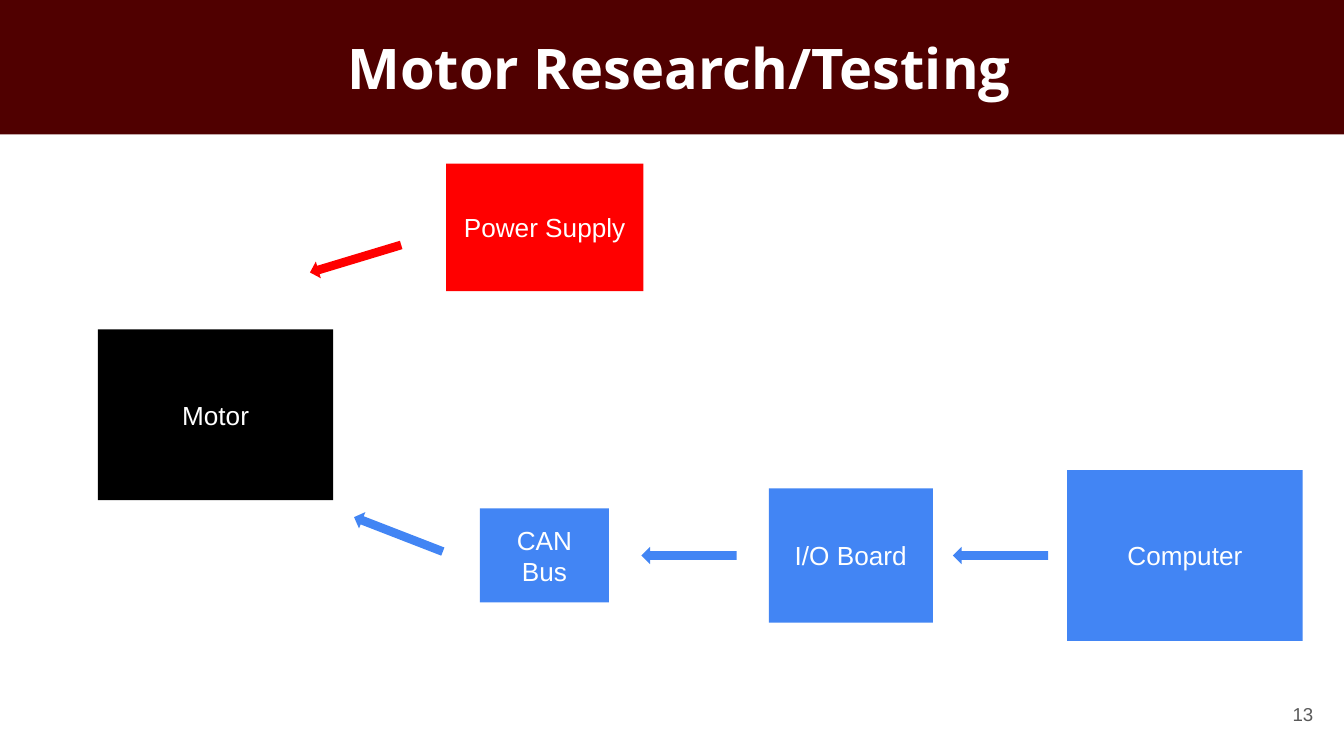
import pptx
import pptx.dml.color
import pptx.enum.shapes
import pptx.enum.text
import pptx.util

Cm = pptx.util.Cm
RGBColor = pptx.dml.color.RGBColor
PP_ALIGN = pptx.enum.text.PP_ALIGN
MSO_SHAPE = pptx.enum.shapes.MSO_SHAPE

MAROON = RGBColor(0x50, 0x00, 0x00)
BLUE = RGBColor(0x42, 0x85, 0xF4)
RED = RGBColor(0xFF, 0x00, 0x00)
BLACK = RGBColor(0x00, 0x00, 0x00)
WHITE = RGBColor(0xFF, 0xFF, 0xFF)
GRAY = RGBColor(0x59, 0x59, 0x59)

SLIDE_WIDTH, SLIDE_HEIGHT = 25.4, 14.29
MARGIN = 0.25
SIGNAL_ROW = 10.5  # centre line of the control chain
ARROW_WIDTH, ARROW_HEIGHT = 1.8, 0.33


def write_text(shape, text, size, color=WHITE, font="Arial", bold=False,
               alignment=PP_ALIGN.CENTER):
    text_frame = shape.text_frame
    text_frame.text = text
    text_frame.word_wrap = True
    text_frame.vertical_anchor = pptx.enum.text.MSO_ANCHOR.MIDDLE
    text_frame.margin_left = text_frame.margin_right = Cm(MARGIN)
    text_frame.margin_top = text_frame.margin_bottom = Cm(MARGIN)
    paragraph = text_frame.paragraphs[0]
    paragraph.alignment = alignment
    for run in paragraph.runs:
        run.font.name = font
        run.font.size = pptx.util.Pt(size)
        run.font.bold = bold
        run.font.color.rgb = color


def add_filled_shape(slide, kind, left, top, width, height, color):
    shape = slide.shapes.add_shape(kind, Cm(left), Cm(top), Cm(width), Cm(height))
    shape.shadow.inherit = False
    shape.fill.solid()
    shape.fill.fore_color.rgb = color
    shape.line.fill.background()
    return shape


def add_title(slide, text):
    band = add_filled_shape(slide, MSO_SHAPE.RECTANGLE, 0, 0, SLIDE_WIDTH, 2.54, MAROON)
    write_text(band, text, 30, font="Open Sans", bold=True)


def add_component(slide, text, left, middle, width, height, color=BLUE):
    """Add a labelled box centred vertically on middle."""
    box = add_filled_shape(slide, MSO_SHAPE.RECTANGLE, left, middle - height / 2,
                           width, height, color)
    write_text(box, text, 14)


def add_arrow(slide, left, middle, rotation=180, color=BLUE):
    """Add a block arrow centred vertically on middle; 180 points left."""
    arrow = add_filled_shape(slide, MSO_SHAPE.RIGHT_ARROW, left,
                             middle - ARROW_HEIGHT / 2,
                             ARROW_WIDTH, ARROW_HEIGHT, color)
    arrow.rotation = rotation


def add_slide_number(slide, number):
    box = slide.shapes.add_textbox(Cm(23.55), Cm(12.95), Cm(1.52), Cm(1.09))
    write_text(box, number, 10, color=GRAY, alignment=PP_ALIGN.RIGHT)


def main():
    presentation = pptx.Presentation()
    presentation.slide_width = Cm(SLIDE_WIDTH)
    presentation.slide_height = Cm(SLIDE_HEIGHT)
    slide = presentation.slides.add_slide(presentation.slide_layouts[6])

    add_title(slide, " Motor Research/Testing")
    add_slide_number(slide, "13")

    add_component(slide, "Computer", 20.17, SIGNAL_ROW, 4.45, 3.23)
    add_component(slide, "I/O Board", 14.53, SIGNAL_ROW, 3.1, 2.54)
    add_component(slide, "CAN Bus", 9.07, SIGNAL_ROW, 2.44, 1.78)
    add_component(slide, "Motor", 1.85, 7.84, 4.45, 3.23, BLACK)
    add_component(slide, "Power Supply", 8.43, 4.3, 3.73, 2.41, RED)

    add_arrow(slide, 18.01, SIGNAL_ROW)
    add_arrow(slide, 12.12, SIGNAL_ROW)
    add_arrow(slide, 6.63, 10.1, rotation=201.2)
    add_arrow(slide, 5.82, 4.89, rotation=163.2, color=RED)

    presentation.save("out.pptx")


if __name__ == "__main__":
    main()
